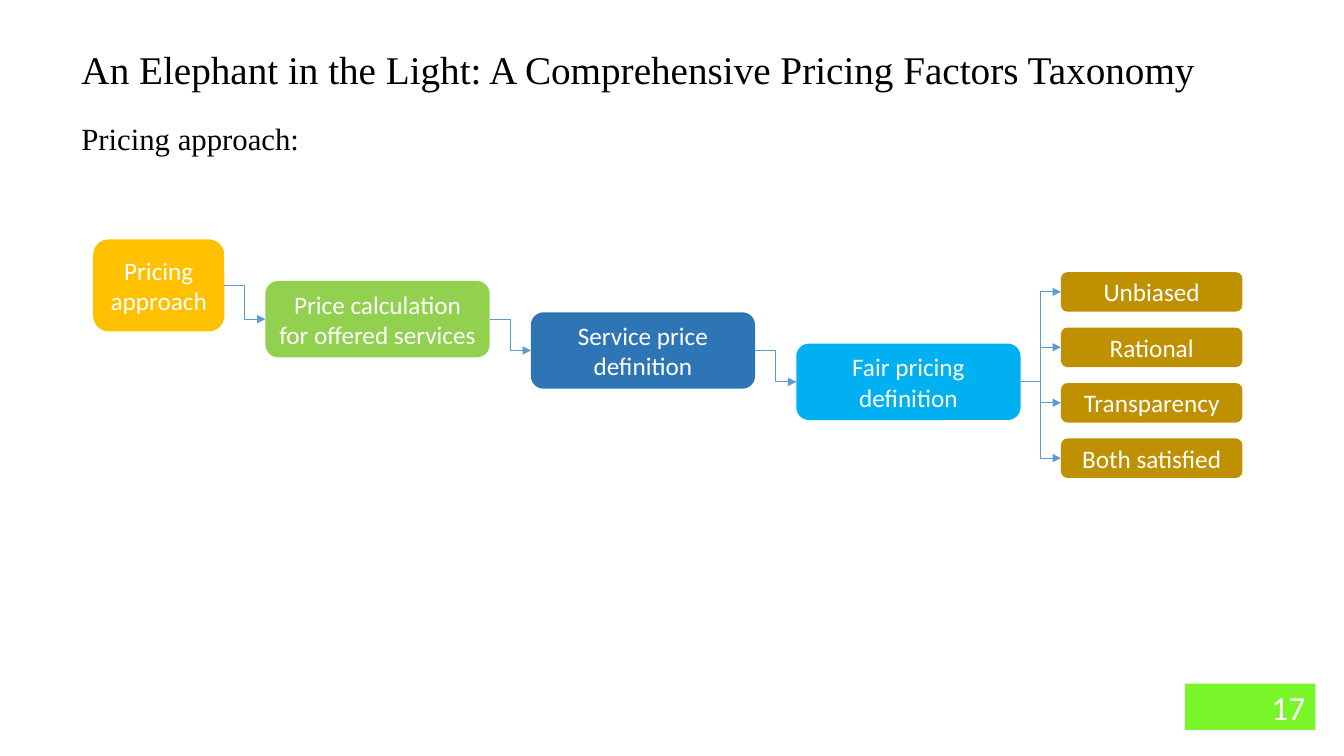
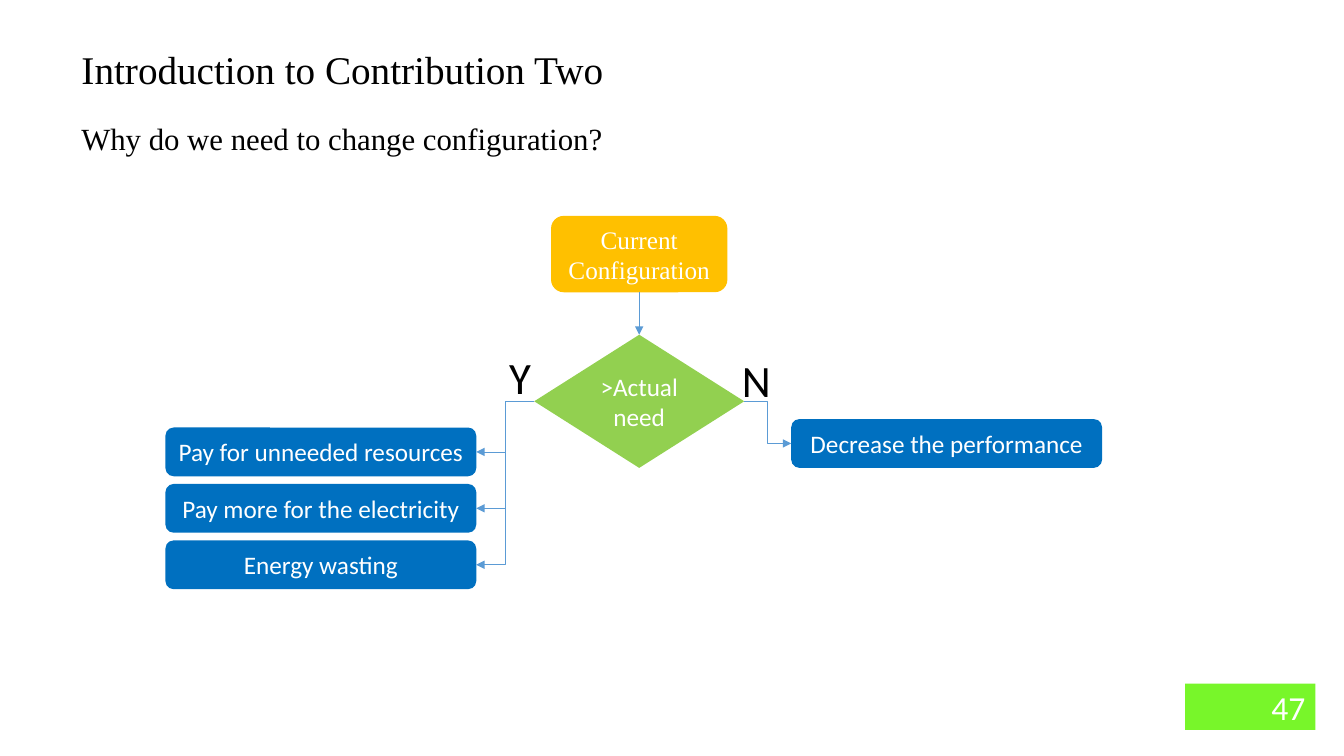
import lxml.etree
import pptx
import pptx.dml.color
import pptx.enum.shapes
import pptx.enum.text
import pptx.oxml.ns
import pptx.util

RGB = pptx.dml.color.RGBColor
BLACK = RGB(0x00, 0x00, 0x00)
WHITE = RGB(0xFF, 0xFF, 0xFF)
LIME = RGB(0x78, 0xF6, 0x2A)
AMBER = RGB(0xFF, 0xC0, 0x00)
GREEN = RGB(0x92, 0xD0, 0x50)
STEEL = RGB(0x2E, 0x75, 0xB6)
SKY = RGB(0x00, 0xB0, 0xF0)
BRONZE = RGB(0xBF, 0x90, 0x00)
BLUE = RGB(0x00, 0x70, 0xC0)
LINK_BLUE = RGB(0x5B, 0x9B, 0xD5)

SERIF = "Times New Roman"
SANS = "Calibri"
SHAPE = pptx.enum.shapes.MSO_SHAPE
ELBOW = pptx.enum.shapes.MSO_CONNECTOR.ELBOW
STRAIGHT = pptx.enum.shapes.MSO_CONNECTOR.STRAIGHT
ALIGN = pptx.enum.text.PP_ALIGN
ANCHOR = pptx.enum.text.MSO_ANCHOR
TOP, LEFT, BOTTOM, RIGHT = range(4)  # connection sites

deck = pptx.Presentation()
deck.slide_width = pptx.util.Inches(13.33)
deck.slide_height = pptx.util.Inches(7.5)
COLUMN = deck.slide_width / 160
ROW = deck.slide_height / 90


def write(slide, text, box, holder=None, preset=SHAPE.ROUNDED_RECTANGLE, fill=None,
          font=SANS, size=18, color=WHITE, align=ALIGN.CENTER, wrap=True):
    """Write text into a placeholder, a filled preset shape or a plain text box.

    box is left, top, width and height in grid columns and rows.
    """
    left, top, width, height = (
        round(length * unit) for length, unit in zip(box, (COLUMN, ROW, COLUMN, ROW)))
    if holder is not None:
        shape = holder
        shape.left, shape.top, shape.width, shape.height = left, top, width, height
    elif fill is not None:
        shape = slide.shapes.add_shape(preset, left, top, width, height)
        shape.shadow.inherit = False
        shape.fill.solid()
        shape.fill.fore_color.rgb = fill
        shape.line.fill.background()
    else:
        shape = slide.shapes.add_textbox(left, top, width, height)
    frame = shape.text_frame
    frame.text = text
    frame.word_wrap = wrap
    frame.auto_size = pptx.enum.text.MSO_AUTO_SIZE.NONE
    frame.vertical_anchor = ANCHOR.TOP if fill is None else ANCHOR.MIDDLE
    paragraph = frame.paragraphs[0]
    paragraph.alignment = align
    paragraph.font.name = font
    paragraph.font.size = pptx.util.Pt(size)
    paragraph.font.color.rgb = color
    return shape


def link(slide, source, target, sites=(RIGHT, LEFT), route=ELBOW):
    """Join two shapes with a thin arrow."""
    arrow = slide.shapes.add_connector(route, 0, 0, 0, 0)
    arrow.begin_connect(source, sites[0])
    arrow.end_connect(target, sites[1])
    arrow.line.color.rgb = LINK_BLUE
    arrow.line.width = pptx.util.Pt(0.5)
    qn = pptx.oxml.ns.qn
    properties = arrow.element.spPr
    lxml.etree.SubElement(properties.find(qn("a:ln")), qn("a:tailEnd"), type="triangle")
    lxml.etree.SubElement(properties, qn("a:effectLst"))


# Title, question and page number of every slide
slides = []
for title, subtitle, page in [
    ("An Elephant in the Light: A Comprehensive Pricing Factors Taxonomy",
     "Pricing approach:", "17"),
    ("Introduction to Contribution Two",
     "Why do we need to change configuration?", "47"),
]:
    slide = deck.slides.add_slide(deck.slide_layouts.get_by_name("Title Only"))
    write(slide, title, (8.5, 4.8, 148, 6.9), holder=slide.shapes.title,
          font=SERIF, size=28, color=BLACK, align=ALIGN.JUSTIFY)
    write(slide, subtitle, (8.5, 13.7, 142, 5.6),
          font=SERIF, size=22, color=BLACK, align=ALIGN.JUSTIFY)
    write(slide, page, (141.1, 81.4, 15.5, 5.5), preset=SHAPE.RECTANGLE, fill=LIME,
          size=24, align=ALIGN.RIGHT)
    slides.append(slide)
taxonomy, decision = slides

# Pricing steps descend to the right, then fan out into four qualities
step = write(taxonomy, "Pricing approach", (11.1, 28.5, 15.6, 10.95), fill=AMBER)
for index, (label, fill) in enumerate([
    ("Price calculation for offered services", GREEN),
    ("Service price definition", STEEL),
    ("Fair pricing definition", SKY),
]):
    box = (31.6 + 31.6 * index, 33.45 + 3.73 * index, 26.7, 9.1)
    next_step = write(taxonomy, label, box, fill=fill)
    link(taxonomy, step, next_step)
    step = next_step

for index, label in enumerate(["Unbiased", "Rational", "Transparency", "Both satisfied"]):
    quality = write(taxonomy, label, (126.3, 32.4 + 6.6 * index, 21.6, 4.7), fill=BRONZE)
    link(taxonomy, step, quality)

# Decision between paying too much and performing too little
configuration = write(decision, "Current Configuration", (65.6, 25.7, 21, 9.1),
                      fill=AMBER, font=SERIF)
need = write(decision, ">Actual need", (63.6, 39.85, 25, 15.85),
             preset=SHAPE.DIAMOND, fill=GREEN)
link(decision, configuration, need, sites=(BOTTOM, TOP), route=STRAIGHT)

for index, label in enumerate([
    "Pay for unneeded resources", "Pay more for the electricity", "Energy wasting",
]):
    cost = write(decision, label, (19.7, 50.9 + 6.72 * index, 37, 5.8), fill=BLUE)
    link(decision, need, cost, sites=(LEFT, RIGHT))

slowdown = write(decision, "Decrease the performance", (94.2, 49.9, 37, 5.8), fill=BLUE)
link(decision, need, slowdown)

for answer, box in [("Y", (59.4, 41, 5, 7.7)), ("N", (87.1, 41.4, 5.9, 7.7))]:
    write(decision, answer, box, size=32, color=BLACK, wrap=False)

deck.save("out.pptx")
